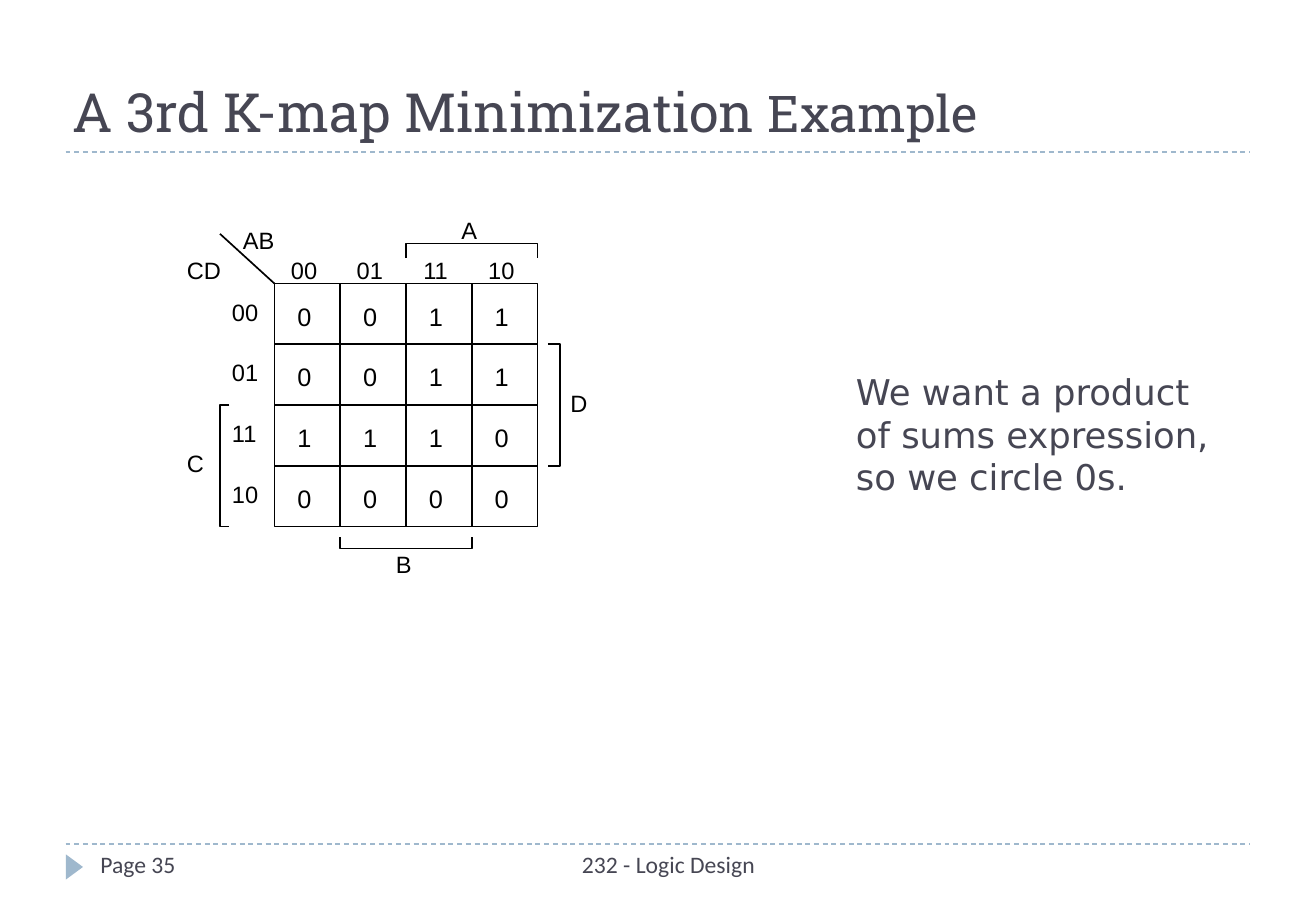
import pptx
import pptx.util
import pptx.dml.color
import pptx.enum.dml
import pptx.enum.shapes
import pptx.enum.text
import pptx.oxml.ns
import lxml.etree

Cm, Pt = pptx.util.Cm, pptx.util.Pt
ALIGN = pptx.enum.text.PP_ALIGN
ANCHOR = pptx.enum.text.MSO_ANCHOR
SHAPE = pptx.enum.shapes.MSO_SHAPE
DASH = pptx.enum.dml.MSO_LINE.DASH

INK, SLATE, BLUE = "000000", "464653", "9FB8CD"
CODES = ["00", "01", "11", "10"]
VALUES = ["0011", "0011", "1110", "0000"]


def color(text):
    return pptx.dml.color.RGBColor.from_string(text)


def write(frame, *parts, font="Arial", ink=INK, align=ALIGN.LEFT,
          anchor=ANCHOR.TOP, space=None):
    """Fill a text frame with one paragraph of (text, size) parts."""
    frame.word_wrap = True
    frame.auto_size = pptx.enum.text.MSO_AUTO_SIZE.NONE
    frame.vertical_anchor = anchor
    frame.margin_left = frame.margin_right = Cm(0.25)
    frame.margin_top = frame.margin_bottom = Cm(0.13)
    para = frame.paragraphs[0]
    para.alignment = align
    if space:
        para.line_spacing = space
    for text, size in parts:
        run = para.add_run()
        run.text = text
        run.font.name = font
        run.font.size = Pt(size)
        run.font.color.rgb = color(ink)


def label(slide, box, text, size=14, **style):
    area = slide.shapes.add_textbox(*map(Cm, box))
    write(area.text_frame, (text, size), **style)


def stroke(line, ink=INK, width=1):
    line.color.rgb = color(ink)
    line.width = Pt(width)


def rule(slide, x1, y1, x2, y2, **style):
    line = slide.shapes.add_connector(
        pptx.enum.shapes.MSO_CONNECTOR.STRAIGHT, Cm(x1), Cm(y1), Cm(x2), Cm(y2))
    stroke(line.line, **style)
    lxml.etree.SubElement(line._element.spPr, pptx.oxml.ns.qn("a:effectLst"))
    return line


def bracket(slide, points):
    first, *rest = [(Cm(x), Cm(y)) for x, y in points]
    pen = slide.shapes.build_freeform(*first)
    pen.add_line_segments(rest, close=False)
    shape = pen.convert_to_shape()
    shape.shadow.inherit = False
    shape.fill.background()
    stroke(shape.line)


def header(slide, x, y, wide, high):
    title = slide.shapes.title
    title.left, title.top = Cm(x), Cm(y)
    title.width, title.height = Cm(wide), Cm(high)
    write(title.text_frame, ("A 3rd K-map Minimization", 32), (" Example", 30),
          font="Roboto Slab", ink=SLATE, anchor=ANCHOR.BOTTOM)
    line = rule(slide, x + 0.1, y + high + 0.05, x + 24.87, y + high + 0.05,
                ink=BLUE, width=0.75)
    line.line.dash_style = DASH.DASH


def footer(slide, x, y, wide):
    line = rule(slide, x, y, x + wide, y, ink=BLUE, width=0.75)
    line.line.dash_style = DASH.DASH
    # Page marker
    mark = slide.shapes.add_shape(SHAPE.ISOSCELES_TRIANGLE, Cm(x - 0.08),
                                  Cm(y + 0.3), Cm(0.53), Cm(0.36))
    mark.rotation = 90
    mark.shadow.inherit = False
    mark.fill.solid()
    mark.fill.fore_color.rgb = color(BLUE)
    mark.line.fill.background()
    # Page number and course
    label(slide, (x + 0.48, y, 5.97, 1.02), "Page 35",
          font="Calibri", ink=SLATE)
    label(slide, (x + 7.34, y, 10.54, 1.02), "232 - Logic Design",
          font="Calibri", ink=SLATE, align=ALIGN.CENTER)


def kmap(slide, x, y, wide, high):
    w, h = wide / 4, high / 4
    right, base = x + wide, y + high

    # Grid
    frame = slide.shapes.add_shape(SHAPE.RECTANGLE, Cm(x), Cm(y),
                                   Cm(wide), Cm(high))
    frame.shadow.inherit = False
    frame.fill.background()
    stroke(frame.line)
    for i in (1, 2, 3):
        across = rule(slide, x, y + i * h, right, y + i * h)
        down = rule(slide, x + i * w, y, x + i * w, base)
        if i == 2:
            across.begin_connect(frame, 1)
            across.end_connect(frame, 3)
            down.begin_connect(frame, 0)
            down.end_connect(frame, 2)
    rule(slide, x, y, x - 1.14, y - 1.04)

    # Codes and cell values
    for i, code in enumerate(CODES):
        label(slide, (x + i * w, y - 0.64, w, 0.81), code + " ",
              align=ALIGN.CENTER, space=0.9)
        label(slide, (x - 1.14, y + i * h + 0.23, 1.14, 0.81), code, space=0.9)
        for j, value in enumerate(VALUES[i]):
            label(slide, (x + j * w + 0.23, y + i * h + 0.23, 0.84, 0.91),
                  value, size=15)

    # Brackets for A, B, C and D
    for inner, outer, start, end in ((y - 0.53, y - 0.84, 2, 4),
                                     (base + 0.23, base + 0.46, 1, 3)):
        a, b = x + start * w, x + end * w
        bracket(slide, [(a, inner), (a, outer), (b, outer), (b, inner)])
    for inner, outer, start, end in ((x - 0.94, x - 1.14, 2, 4),
                                     (right + 0.22, right + 0.47, 1, 3)):
        a, b = y + start * h, y + end * h
        bracket(slide, [(inner, a), (outer, a), (outer, b), (inner, b)])

    # Variable names
    for name, dx, dy in (("AB", -0.91, -1.27), ("CD", -2.08, -0.64),
                         ("A", 3.66, -1.47), ("B", 2.29, 5.51),
                         ("C", -2.08, 3.4), ("D", 5.94, 2.13)):
        label(slide, (x + dx, y + dy, 1.3, 0.81), name, space=0.9)


def main():
    deck = pptx.Presentation()
    deck.slide_width, deck.slide_height = Cm(27.52), Cm(19.05)
    slide = deck.slides.add_slide(deck.slide_layouts[5])
    footer(slide, 1.37, 17.65, 24.77)
    kmap(slide, 5.74, 5.93, 5.5, 5.08)
    label(slide, (17.65, 7.59, 8.26, 2.97),
          "We want a product of sums expression, so we circle 0s.", size=21,
          font="DejaVu Sans", ink=SLATE, anchor=ANCHOR.MIDDLE)
    header(slide, 1.27, 0.64, 24.43, 2.49)
    deck.save("out.pptx")


if __name__ == "__main__":
    main()
